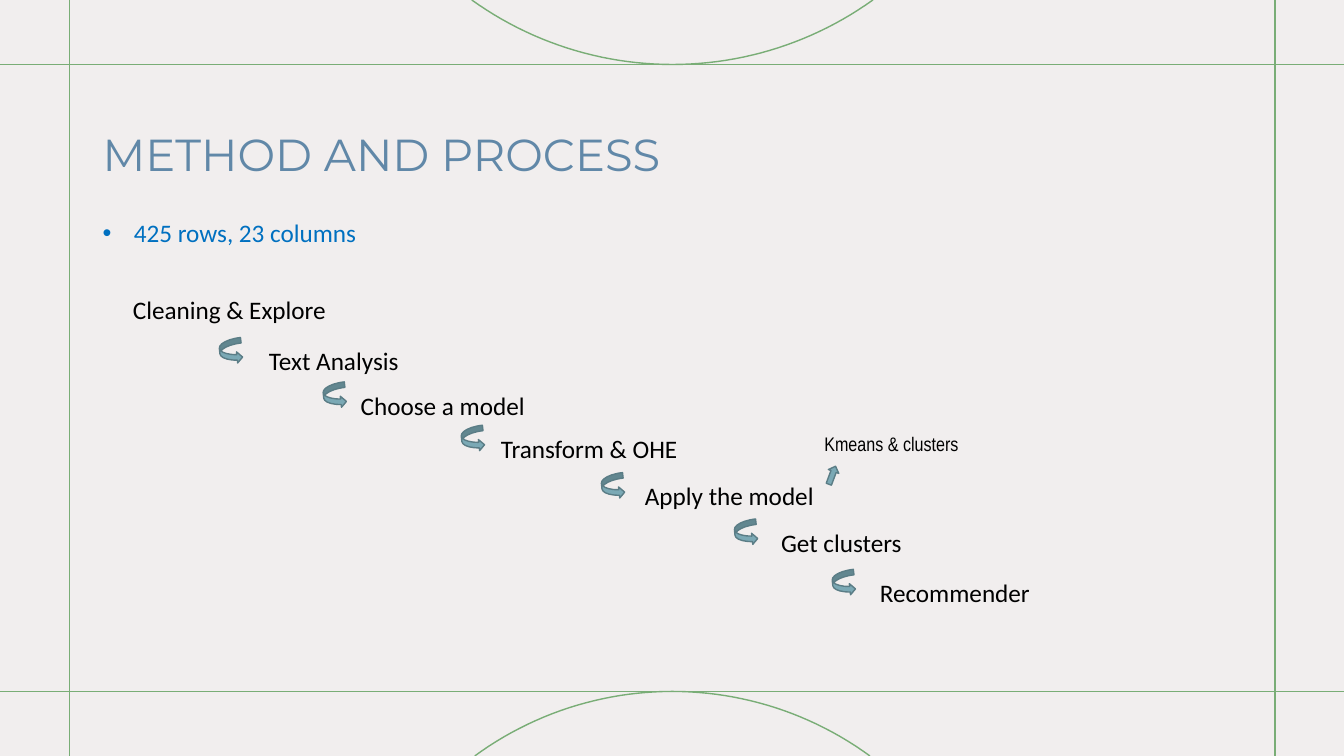
from math import asin, cos, sin

from lxml.etree import SubElement
from pptx import Presentation
from pptx.dml.color import RGBColor as RGB
from pptx.enum.shapes import MSO_CONNECTOR as LINE, MSO_SHAPE as SHAPE
from pptx.enum.text import MSO_ANCHOR as ANCHOR, MSO_AUTO_SIZE as FIT
from pptx.oxml.ns import qn
from pptx.util import Inches, Pt

COLORS = {"paper": "F1EEEE", "frame": "79AD76", "title": "6188A8", "fact": "0070C0",
          "ink": "000000", "arrow": "7BA9B5", "arrow_edge": "5B7D86"}
CELL = Inches(0.1)
COLS, ROWS = 133.33, 75


class SlideBuilder:
    """Draws styled elements on a slide, measured in columns and rows of a grid."""

    def __init__(self, prs):
        self.s = prs.slides.add_slide(prs.slide_layouts[6])

    def grid(self, *lengths):
        return [round(n * CELL) for n in lengths]

    def stroke(self, sp, color):
        sp.line.color.rgb = RGB.from_string(COLORS[color])
        sp.line.width = Pt(1)

    def shape(self, kind, box, fill, edge=None, rotation=0):
        sp = self.s.shapes.add_shape(kind, *self.grid(*box))
        sp.shadow.inherit = False
        sp.rotation = rotation
        sp.fill.solid()
        sp.fill.fore_color.rgb = RGB.from_string(COLORS[fill])
        if edge:
            self.stroke(sp, edge)
        else:
            sp.line.fill.background()

    def line(self, *ends):
        sp = self.s.shapes.add_connector(LINE.STRAIGHT, *self.grid(*ends))
        self.stroke(sp, "frame")
        SubElement(sp._element.spPr, qn("a:effectLst"))

    def arc(self, center, half, edge, apex, steps=48):
        rise = apex - edge
        radius = (half ** 2 + rise ** 2) / (2 * abs(rise))
        turn = 1 if rise > 0 else -1
        reach = asin(half / radius)
        angles = [reach * (2 * i / steps - 1) for i in range(steps + 1)]
        points = [self.grid(center + radius * sin(a), apex - turn * radius * (1 - cos(a)))
                  for a in angles]
        path = self.s.shapes.build_freeform(*points[0])
        path.add_line_segments(points[1:], close=False)
        sp = path.convert_to_shape()
        sp.shadow.inherit = False
        sp.fill.background()
        self.stroke(sp, "frame")

    def text(self, text, box, size=18, font="Calibri", color="ink",
             anchor=ANCHOR.TOP, fit=FIT.SHAPE_TO_FIT_TEXT, bullet=False):
        tf = self.s.shapes.add_textbox(*self.grid(*box)).text_frame
        tf.word_wrap = True
        tf.auto_size = fit
        tf.vertical_anchor = anchor
        p = tf.paragraphs[0]
        if bullet:
            pPr = p._p.get_or_add_pPr()
            indent = Inches(0.31)
            pPr.set("marL", str(indent))
            pPr.set("indent", str(-indent))
            SubElement(pPr, qn("a:buFont")).set("typeface", "Arial")
            SubElement(pPr, qn("a:buChar")).set("char", "•")
        r = p.add_run()
        r.text = text
        r.font.name = font
        r.font.size = Pt(size)
        r.font.color.rgb = RGB.from_string(COLORS[color])


def main():
    prs = Presentation()
    prs.slide_width, prs.slide_height = Inches(13.333), Inches(7.5)
    b = SlideBuilder(prs)

    top, bottom = 6.4, 68.6
    b.shape(SHAPE.RECTANGLE, (0, 0, COLS, ROWS), "paper")
    for y in (top, bottom):
        b.line(0, y, COLS, y)
    for x in (6.9, 126.5):
        b.line(x, 0, x, ROWS)
    b.arc(66.7, 19.9, 0, top)
    b.arc(66.7, 19.6, ROWS, bottom)

    b.text("METHOD AND PROCESS", (9.2, 8, 115, 14.5), 32, "Montserrat", "title",
           ANCHOR.MIDDLE, FIT.NONE)
    b.text("425 rows, 23 columns", (9.2, 21.1, 30, 4), color="fact", bullet=True)

    steps = [("Cleaning & Explore", 12.2, 28.7), ("Text Analysis", 25.7, 33.8),
             ("Choose a model", 34.8, 38.2), ("Transform & OHE", 48.7, 42.5),
             ("Apply the model", 63, 47.2), ("Get clusters", 76.5, 51.8),
             ("Recommender", 86.3, 56.8)]
    for name, x, y in steps:
        b.text(name, (x, y, 27, 4))
    arrow_columns = (21.8, 32.1, 45.8, 59.7, 72.9, 82.6)
    for x, (_, _, y) in zip(arrow_columns, steps[1:]):
        b.shape(SHAPE.CURVED_RIGHT_ARROW, (x, y - 0.2, 2.2, 2.5), "arrow", "arrow_edge", 353.7)

    b.text("Kmeans & clusters", (80.8, 42.4, 19, 3.4), 14, "Arial Narrow")
    b.shape(SHAPE.DOWN_ARROW, (82, 46.2, 1.1, 1.9), "arrow", "arrow_edge", 200.6)
    prs.save("out.pptx")


if __name__ == "__main__":
    main()
